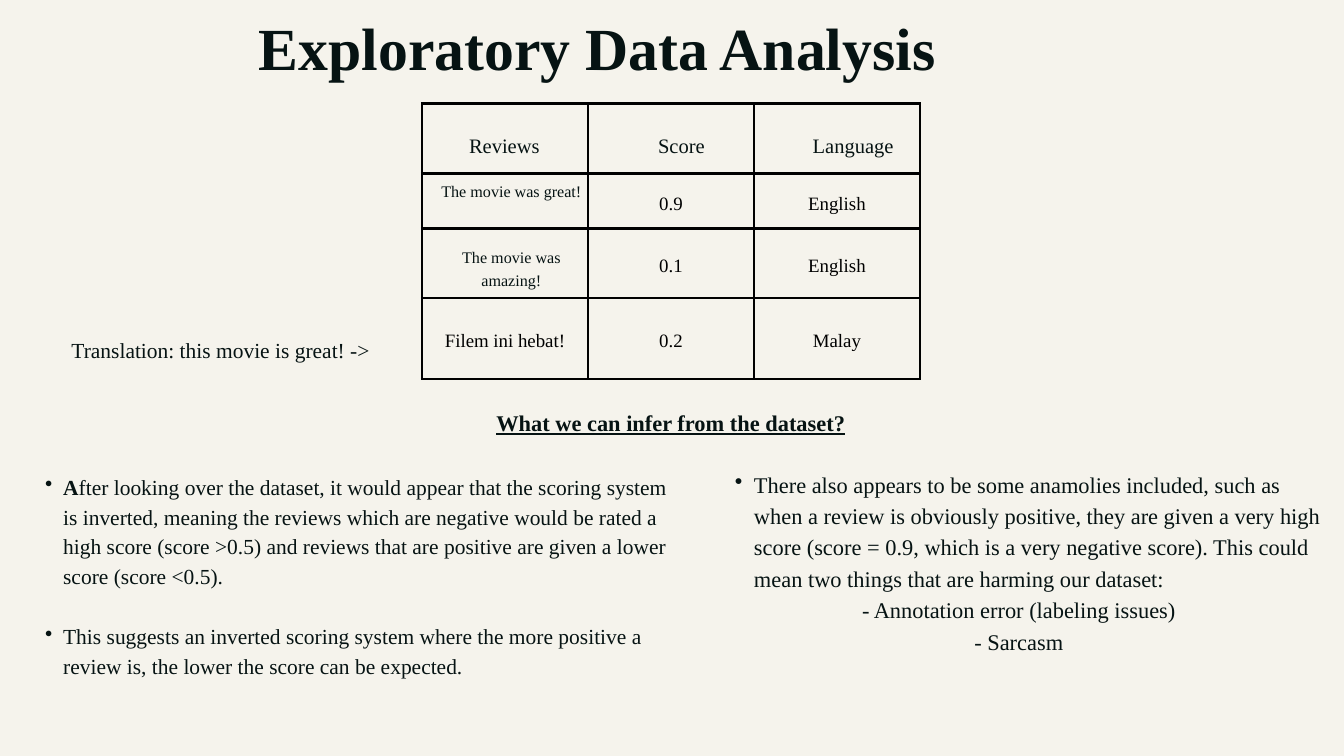
from dataclasses import dataclass

from lxml import etree
from pptx import Presentation
from pptx.dml.color import RGBColor
from pptx.enum.text import MSO_ANCHOR, MSO_AUTO_SIZE, PP_ALIGN
from pptx.oxml.ns import qn
from pptx.util import Inches, Pt

LEFT, CENTER = PP_ALIGN.LEFT, PP_ALIGN.CENTER
TOP, MIDDLE = MSO_ANCHOR.TOP, MSO_ANCHOR.MIDDLE
FIXED = MSO_AUTO_SIZE.NONE

CREAM = RGBColor(0xF5, 0xF3, 0xEC)
INK = RGBColor(0x06, 0x13, 0x13)
BLACK = RGBColor(0, 0, 0)
FONT = "Times New Roman"

WIDTH, HEIGHT = Inches(20), Inches(11.25)
COLUMN, ROW = WIDTH / 80, HEIGHT / 45


@dataclass(frozen=True)
class Area:
    column: float
    row: float
    columns: float
    rows: float

    def lengths(self) -> tuple[int, int, int, int]:
        return (round(self.column * COLUMN), round(self.row * ROW),
                round(self.columns * COLUMN), round(self.rows * ROW))


@dataclass(frozen=True)
class Label:
    text: str
    area: Area
    size: float
    spacing: float
    bold: bool = False
    underline: bool = False


TITLE_AREA = Area(15.4, -0.08, 49.48, 4.76)
TABLE_AREA = Area(25.12, 6.16, 29.64, 16.4)
TABLE_ROWS = (4.16, 3.28, 4.16, 4.8)
TABLE_TEXT = (
    ("", "", ""),
    ("", "0.9", "English"),
    ("", "0.1", "English"),
    ("Filem ini hebat!", "0.2", "Malay"),
)

LABELS = (
    Label("What we can infer from the dataset?", Area(27.36, 24.08, 25.12, 1.72),
          24, 33.6, bold=True, underline=True),
    Label("The movie was great!", Area(26, 10.6, 8.88, 2.6), 17.3, 24.2),
    Label("Reviews", Area(27.36, 7.6, 5.32, 1.68), 22, 32.3),
    Label("Score", Area(38.72, 7.6, 3.68, 1.68), 22, 32.3),
    Label("Language", Area(47.6, 7.6, 6.36, 1.68), 22, 32.3),
    Label("The movie was amazing!", Area(26, 14.56, 8.88, 2.6), 17.3, 24.2),
    Label("Translation: this movie is great! ->", Area(1.6, 19.8, 23.08, 1.68), 23, 32.2),
)

SCORING_AREA = Area(1.6, 27.94, 38.96, 13)
SCORING_REST = (
    "fter looking over the dataset, it would appear that the scoring system is inverted, "
    "meaning the reviews which are negative would be rated a high score (score >0.5) and "
    "reviews that are positive are given a lower score (score <0.5)."
)
SCORING_CONCLUSION = (
    "This suggests an inverted scoring system where the more positive a review is, "
    "the lower the score can be expected."
)
ANOMALY_AREA = Area(42.6, 27.76, 36.08, 12.72)
ANOMALY_TEXT = (
    "There also appears to be some anamolies included, such as when a review is obviously "
    "positive, they are given a very high score (score = 0.9, which is a very negative "
    "score). This could mean two things that are harming our dataset:"
)
ANOMALY_CAUSES = ("- Annotation error (labeling issues)", "- Sarcasm")


def add_span(para, text: str, *, size: float, color: RGBColor = INK,
             bold: bool = False, underline: bool = False) -> None:
    span = para.add_run()
    span.text = text
    font = span.font
    font.name, font.size, font.bold, font.underline = FONT, Pt(size), bold, underline
    font.color.rgb = color


def set_para(para, *, spacing: float, align=LEFT, before: float = 0) -> None:
    para.alignment = align
    para.line_spacing = Pt(spacing)
    para.space_before = Pt(before)


def set_bullet(para, indent: float) -> None:
    para.level = 1
    properties = para._p.get_or_add_pPr()
    properties.set("marL", str(Inches(indent)))
    properties.set("indent", str(-Inches(indent / 2)))
    etree.SubElement(properties, qn("a:buChar"), char="•")


def prepare_frame(frame) -> None:
    frame.word_wrap = True
    frame.auto_size = FIXED
    frame.vertical_anchor = TOP
    frame.margin_left = frame.margin_right = frame.margin_top = frame.margin_bottom = 0


def add_frame(page, area: Area):
    frame = page.shapes.add_textbox(*area.lengths()).text_frame
    prepare_frame(frame)
    return frame


def add_label(page, label: Label) -> None:
    para = add_frame(page, label.area).paragraphs[0]
    set_para(para, spacing=label.spacing, align=CENTER)
    add_span(para, label.text, size=label.size, bold=label.bold, underline=label.underline)


def set_borders(cell, color: RGBColor, width: float) -> None:
    properties = cell._tc.get_or_add_tcPr()
    for side in ("a:lnL", "a:lnR", "a:lnT", "a:lnB"):
        line = etree.SubElement(properties, qn(side), w=str(Pt(width)))
        fill = etree.SubElement(line, qn("a:solidFill"))
        etree.SubElement(fill, qn("a:srgbClr"), val=str(color))


def add_review_table(page) -> None:
    table = page.shapes.add_table(len(TABLE_TEXT), len(TABLE_TEXT[0]),
                                  *TABLE_AREA.lengths()).table
    table.first_row = table.horz_banding = False
    for row, rows, texts in zip(table.rows, TABLE_ROWS, TABLE_TEXT):
        row.height = round(rows * ROW)
        for cell, text in zip(row.cells, texts):
            set_borders(cell, BLACK, 2.77)
            cell.fill.background()
            if text:
                cell.vertical_anchor = MIDDLE
                cell.margin_left = cell.margin_right = Inches(0.2)
                cell.margin_top = cell.margin_bottom = Inches(0.2)
                para = cell.text_frame.paragraphs[0]
                set_para(para, spacing=28.3, align=CENTER)
                add_span(para, text, size=20.2, color=BLACK)


def set_title(page, text: str) -> None:
    title = page.shapes.title
    title.left, title.top, title.width, title.height = TITLE_AREA.lengths()
    prepare_frame(title.text_frame)
    para = title.text_frame.paragraphs[0]
    set_para(para, spacing=89.6)
    add_span(para, text, size=64, bold=True)


def add_scoring_notes(page) -> None:
    frame = add_frame(page, SCORING_AREA)
    finding, conclusion = frame.paragraphs[0], frame.add_paragraph()
    set_para(finding, spacing=32.1)
    set_para(conclusion, spacing=32.1, before=32.1)
    for para in (finding, conclusion):
        set_bullet(para, 0.54)
    add_span(finding, "A", size=23, bold=True)
    add_span(finding, SCORING_REST, size=23)
    add_span(conclusion, SCORING_CONCLUSION, size=23)


def add_anomaly_notes(page) -> None:
    frame = add_frame(page, ANOMALY_AREA)
    finding = frame.paragraphs[0]
    set_para(finding, spacing=33.6)
    set_bullet(finding, 0.57)
    add_span(finding, ANOMALY_TEXT, size=24)
    for cause in ANOMALY_CAUSES:
        para = frame.add_paragraph()
        set_para(para, spacing=33.6, align=CENTER)
        add_span(para, cause, size=24)


def main() -> None:
    deck = Presentation()
    deck.slide_width, deck.slide_height = WIDTH, HEIGHT
    page = deck.slides.add_slide(deck.slide_layouts.get_by_name("Title Only"))
    page.background.fill.solid()
    page.background.fill.fore_color.rgb = CREAM
    set_title(page, "Exploratory Data Analysis")
    add_review_table(page)
    add_scoring_notes(page)
    add_anomaly_notes(page)
    for label in LABELS:
        add_label(page, label)
    deck.save("out.pptx")


if __name__ == "__main__":
    main()
